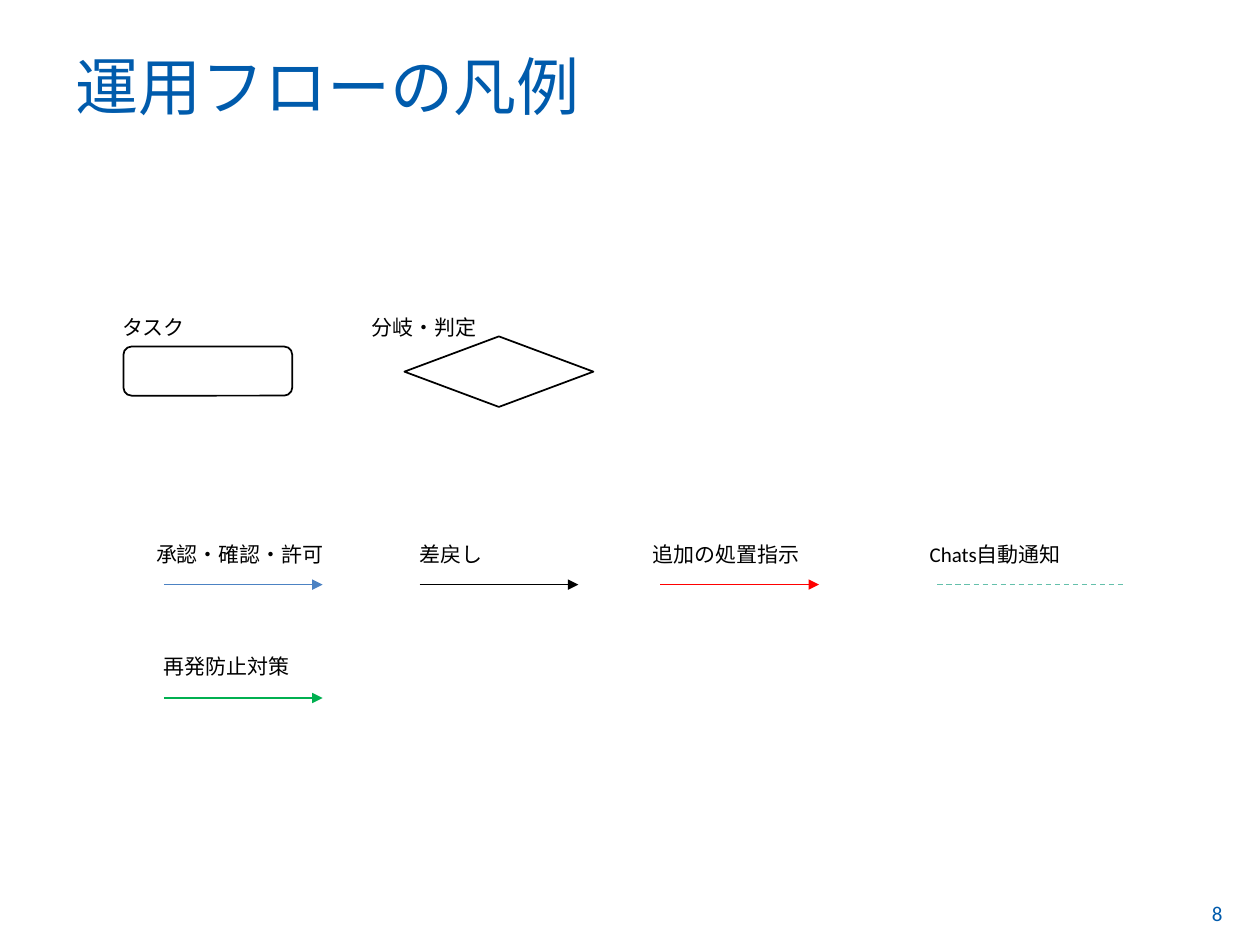
from dataclasses import dataclass

import pptx
import pptx.dml.color
import pptx.enum.dml
import pptx.enum.shapes
import pptx.enum.text
import pptx.oxml
import pptx.oxml.ns
import pptx.util

Inches = pptx.util.Inches
Pt = pptx.util.Pt
RGB = pptx.dml.color.RGBColor.from_string
SHAPE = pptx.enum.shapes.MSO_SHAPE
ANCHOR = pptx.enum.text.MSO_ANCHOR


@dataclass(frozen=True)
class Theme:
    font: str = "Calibri"
    title_size: int = 36
    body_size: int = 12
    title: str = "005BAC"
    ink: str = "000000"
    paper: str = "FFFFFF"
    approve: str = "4C82C3"
    reject: str = "000000"
    action: str = "FF0000"
    notice: str = "64C0AB"
    prevent: str = "00B050"
    outline: float = 1
    flow: float = 0.75


THEME = Theme()


def apply(target, values):
    for name, value in values.items():
        setattr(target, name, value)


def element(tag, attributes=""):
    return pptx.oxml.parse_xml(
        "<a:%s %s %s/>" % (tag, pptx.oxml.ns.nsdecls("a"), attributes))


def add_text(s, text, x, y, w, h, size=THEME.body_size, color=THEME.ink,
             anchor=ANCHOR.TOP):
    tf = s.shapes.add_textbox(*map(Inches, (x, y, w, h))).text_frame
    apply(tf, {"word_wrap": True, "vertical_anchor": anchor})
    r = tf.paragraphs[0].add_run()
    r.text = text
    apply(r.font, {"name": THEME.font, "size": Pt(size)})
    r.font.color.rgb = RGB(color)
    r._r.get_or_add_rPr().append(element("ea", 'typeface="%s"' % THEME.font))


def add_symbol(s, kind, x, y, w, h):
    sp = s.shapes.add_shape(kind, *map(Inches, (x, y, w, h)))
    sp.shadow.inherit = False
    sp.fill.solid()
    sp.fill.fore_color.rgb = RGB(THEME.paper)
    sp.line.color.rgb = RGB(THEME.ink)
    sp.line.width = Pt(THEME.outline)


def add_flow(s, x, y, length, color, dashed):
    line = s.shapes.add_connector(
        pptx.enum.shapes.MSO_CONNECTOR.STRAIGHT,
        *map(Inches, (x, y, x + length, y)))
    line.line.color.rgb = RGB(color)
    line.line.width = Pt(THEME.flow)
    if dashed:
        line.line.dash_style = pptx.enum.dml.MSO_LINE.DASH
    else:
        line.line._get_or_add_ln().append(element("tailEnd", 'type="triangle"'))
    line._element.spPr.append(element("effectLst"))


def main():
    prs = pptx.Presentation()
    apply(prs, {"slide_width": Inches(10), "slide_height": Inches(7.5)})
    s = prs.slides.add_slide(prs.slide_layouts[6])

    add_text(s, "8", 9.52, 7.1, 0.48, 0.4, color=THEME.title)
    add_text(s, "運用フローの凡例", 0.5, 0.26, 9, 0.77, THEME.title_size,
             THEME.title, ANCHOR.BOTTOM)

    symbols = [
        ("タスク", 0.87, 0.79, SHAPE.ROUNDED_RECTANGLE, (0.98, 2.75, 1.34, 0.39)),
        ("分岐・判定", 2.85, 1.16, SHAPE.FLOWCHART_DECISION, (3.21, 2.67, 1.5, 0.56)),
    ]
    for text, x, w, kind, box in symbols:
        add_symbol(s, kind, *box)
        add_text(s, text, x, 2.45, w, 0.3)

    flows = [
        ("承認・確認・許可", 1.14, 4.25, 1.6, 1.3, 4.64, 1.26, THEME.approve, False),
        ("差戻し", 3.23, 4.25, 0.79, 3.33, 4.64, 1.26, THEME.reject, False),
        ("追加の処置指示", 5.08, 4.25, 1.42, 5.24, 4.64, 1.26, THEME.action, False),
        ("Chats自動通知", 7.28, 4.25, 1.42, 7.44, 4.64, 1.5, THEME.notice, True),
        ("再発防止対策", 1.2, 5.14, 1.26, 1.3, 5.54, 1.26, THEME.prevent, False),
    ]
    for text, x, y, w, start, level, length, color, dashed in flows:
        add_flow(s, start, level, length, color, dashed)
        add_text(s, text, x, y, w, 0.3)

    prs.save("out.pptx")


if __name__ == "__main__":
    main()
